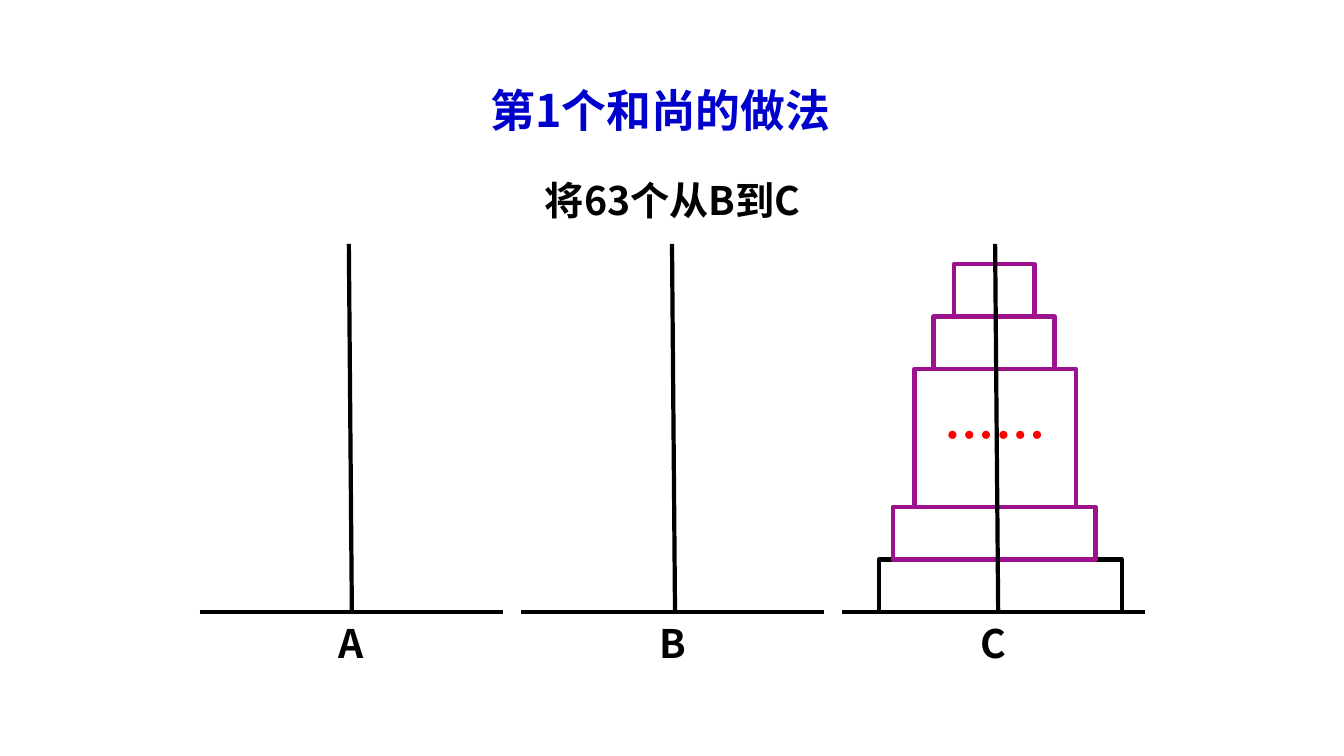
from pptx import Presentation
from pptx.dml.color import RGBColor
from pptx.enum.shapes import MSO_CONNECTOR, MSO_SHAPE
from pptx.enum.text import MSO_ANCHOR, PP_ALIGN
from pptx.oxml.ns import qn
from pptx.util import Inches, Pt
from lxml import etree

BLACK = RGBColor(0, 0, 0)
BLUE = RGBColor(0, 0, 0xCC)
RED = RGBColor(0xFF, 0, 0)
PURPLE = RGBColor(0x9D, 0x13, 0x8D)
FONT = "Noto Sans CJK SC"

# Content: headings as (text, size, colour, left, top, width)
HEADINGS = [
    ("第1个和尚的做法", 32, BLUE, 4.09, 0.78, 4.92),
    ("将63个从B到C", 28, BLACK, 5.03, 1.64, 3.28),
]
PEGS = ["A", "B", "C"]
# Disks from the bottom up: (centre, width, height, colour, text)
DISKS = [
    (9.92, 2.41, 0.52, BLACK, ""),
    (9.86, 2.01, 0.52, PURPLE, ""),
    (9.87, 1.6, 1.37, PURPLE, "……"),
    (9.86, 1.2, 0.52, PURPLE, ""),
    (9.86, 0.8, 0.52, PURPLE, ""),
]

# Geometry in inches
FIRST_BASE, PEG_PITCH, BASE_WIDTH = 1.98, 3.185, 3.01
FIRST_POLE, POLE_PITCH, POLE_LEAN = 3.49, 3.205, 0.03
FLOOR, POLE_TOP = 6.07, 2.42
LABEL_LEFT, LABEL_TOP, LABEL_WIDTH, LABEL_HEIGHT = 3.1, 6.23, 0.77, 0.49

prs = Presentation()
prs.slide_width, prs.slide_height = Inches(13.33), Inches(7.5)
slide = prs.slides.add_slide(prs.slide_layouts[6])


def write(frame, text, size, colour, spacing=None, **settings):
    for name, value in settings.items():
        setattr(frame, name, value)
    paragraph = frame.paragraphs[0]
    paragraph.alignment = PP_ALIGN.CENTER
    paragraph.line_spacing = spacing
    run = paragraph.add_run()
    run.text = text
    for name, value in {"size": Pt(size), "bold": True, "name": FONT}.items():
        setattr(run.font, name, value)
    run.font.color.rgb = colour
    etree.SubElement(run.font._element, qn("a:ea")).set("typeface", FONT)


def add_text(text, size, colour, left, top, width, height, inset):
    box = slide.shapes.add_textbox(*map(Inches, (left, top, width, height)))
    write(box.text_frame, text, size, colour, Pt(24),
          word_wrap=True, margin_top=Inches(inset))


def add_line(x1, y1, x2, y2):
    line = slide.shapes.add_connector(
        MSO_CONNECTOR.STRAIGHT, *map(Inches, (x1, y1, x2, y2)))
    line.line.color.rgb = BLACK
    line.line.width = Pt(3)
    etree.SubElement(line._element.spPr, qn("a:effectLst"))


# Stack of disks
bottom = FLOOR
for centre, width, height, colour, text in DISKS:
    bottom -= height
    disk = slide.shapes.add_shape(
        MSO_SHAPE.FLOWCHART_PROCESS,
        *map(Inches, (centre - width / 2, bottom, width, height)))
    disk.shadow.inherit = False
    disk.fill.background()
    disk.line.color.rgb = colour
    disk.line.width = Pt(3)
    if text:
        write(disk.text_frame, text, 36, RED, word_wrap=False,
              margin_top=Inches(0.35), margin_bottom=Inches(0.12),
              vertical_anchor=MSO_ANCHOR.TOP)

# Bases, poles and labels
for i, peg in enumerate(PEGS):
    base, pole = FIRST_BASE + i * PEG_PITCH, FIRST_POLE + i * POLE_PITCH
    add_line(base, FLOOR, base + BASE_WIDTH, FLOOR)
    add_line(pole, FLOOR, pole - POLE_LEAN, POLE_TOP)
    add_text(peg, 28, BLACK, LABEL_LEFT + i * PEG_PITCH, LABEL_TOP,
             LABEL_WIDTH, LABEL_HEIGHT, 0.05)

# Headings
for text, size, colour, left, top, width in HEADINGS:
    add_text(text, size, colour, left, top, width, 0.7, 0.24)

prs.save("out.pptx")
